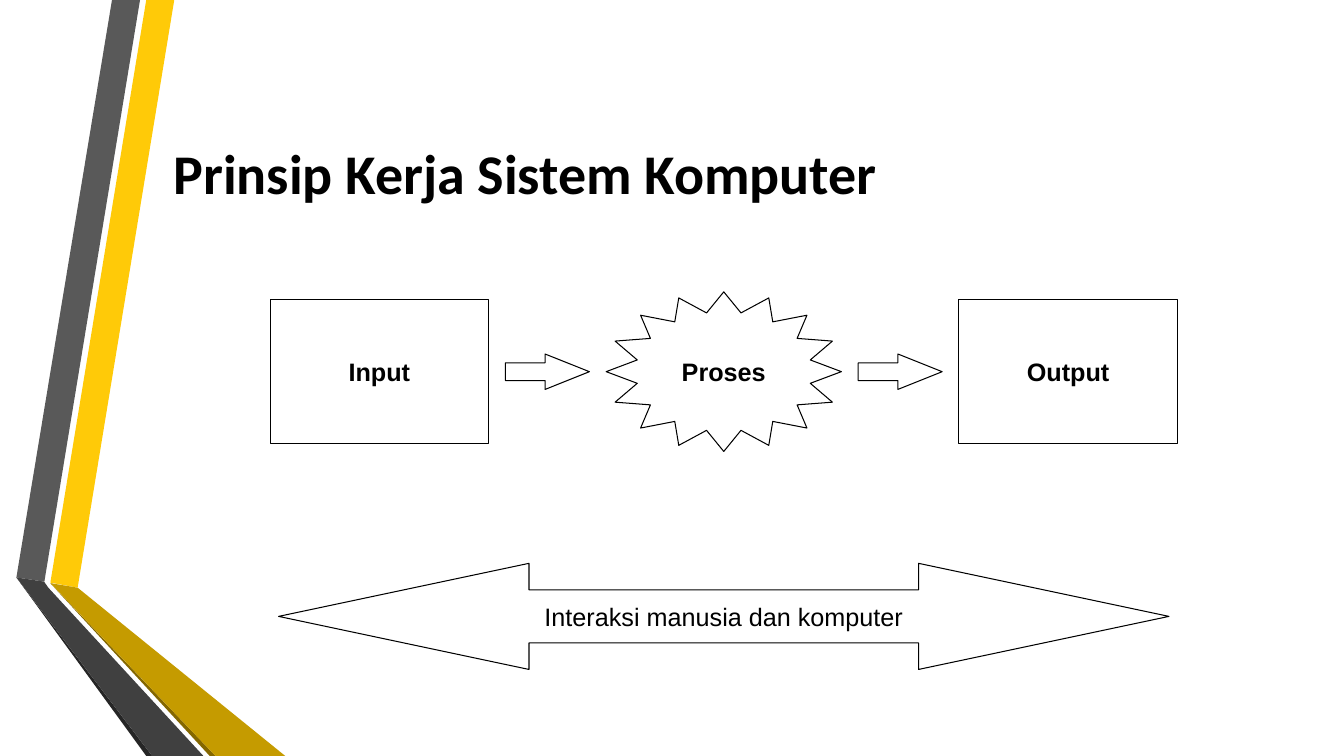
from pptx import Presentation
from pptx.dml.color import RGBColor
from pptx.enum.shapes import MSO_SHAPE
from pptx.enum.text import MSO_ANCHOR, PP_ALIGN
from pptx.util import Pt


def color(hex_text):
    """Turn a hex string into a colour."""
    return RGBColor.from_string(hex_text)


def write(tf, text, font="Arial", size=18, bold=False, fill="000000", align=PP_ALIGN.CENTER):
    """Put one formatted line of text in a frame, centred vertically."""
    tf.vertical_anchor = MSO_ANCHOR.MIDDLE
    p = tf.paragraphs[0]
    p.alignment = align
    r = p.add_run()
    r.text = text
    r.font.name = font
    r.font.size = Pt(size)
    r.font.bold = bold
    r.font.color.rgb = color(fill)


class Deck:
    """Hold the outline style and the current slide."""

    line = "000000"
    weight = 0.75

    def __init__(self, prs):
        """Add a title-only slide."""
        self.s = prs.slides.add_slide(prs.slide_layouts[5])

    def title(self, text, x, y, w, h):
        """Place and fill the title."""
        sp = self.s.shapes.title
        sp.left, sp.top, sp.width, sp.height = Pt(x), Pt(y), Pt(w), Pt(h)
        write(sp.text_frame, text, font="Calibri", size=40, bold=True, align=PP_ALIGN.JUSTIFY)

    def band(self, fill, points):
        """Draw a filled polygon without an outline."""
        pts = [(Pt(x), Pt(y)) for x, y in points]
        fb = self.s.shapes.build_freeform(*pts[0])
        fb.add_line_segments(pts[1:], close=True)
        sp = fb.convert_to_shape()
        sp.shadow.inherit = False
        sp.fill.solid()
        sp.fill.fore_color.rgb = color(fill)
        sp.line.fill.background()

    def outline(self, kind, x, mid, w, h, text="", bold=True, adj=()):
        """Draw an unfilled shape centred on a height."""
        sp = self.s.shapes.add_shape(kind, Pt(x), Pt(mid - h / 2), Pt(w), Pt(h))
        sp.shadow.inherit = False
        sp.fill.background()
        sp.line.color.rgb = color(self.line)
        sp.line.width = Pt(self.weight)
        for i, value in enumerate(adj):
            sp.adjustments[i] = value
        if text:
            sp.text_frame.word_wrap = False
            write(sp.text_frame, text, bold=bold)


def main():
    """Build the slide."""
    prs = Presentation()
    prs.slide_width, prs.slide_height = Pt(960), Pt(540)
    deck = Deck(prs)

    bands = [
        ("FFCA08", [(36, 416.2), (55.5, 419.8), (124.5, 0), (104.5, 0)]),
        ("595959", [(100, 0), (80, 0), (11.7, 412.5), (31.7, 415.5)]),
        ("262626", [(11.7, 412.5), (104.5, 540), (108.7, 540)]),
        ("846700", [(36, 416.7), (149.8, 540), (154, 540)]),
        ("C59B00", [(36, 416.5), (154, 540), (203.8, 540), (55.5, 419.8)]),
        ("404040", [(145.3, 540), (34.5, 419.8), (31.5, 415.5), (11.7, 412.5), (108.7, 540)]),
    ]
    for fill, points in bands:
        deck.band(fill, points)

    deck.title("Prinsip Kerja Sistem Komputer", 116.7, 54, 789, 138)

    box = (MSO_SHAPE.RECTANGLE, 156, 102.5, ())
    arrow = (MSO_SHAPE.RIGHT_ARROW, 60, 25.3, (0.5, 1.25))
    star = (MSO_SHAPE.STAR_16_POINT, 168, 114, (0.375,))
    x, gap = 193, 12
    steps = [(box, "Input"), (arrow, ""), (star, "Proses"), (arrow, ""), (box, "Output")]
    for (kind, w, h, adj), text in steps:
        deck.outline(kind, x, 265.5, w, h, text, adj=adj)
        x += w + gap

    deck.outline(MSO_SHAPE.LEFT_RIGHT_ARROW, 199, 440.3, 636, 75.8,
                 "Interaksi manusia dan komputer", bold=False, adj=(0.5, 2.36))
    prs.save("out.pptx")


if __name__ == "__main__":
    main()
